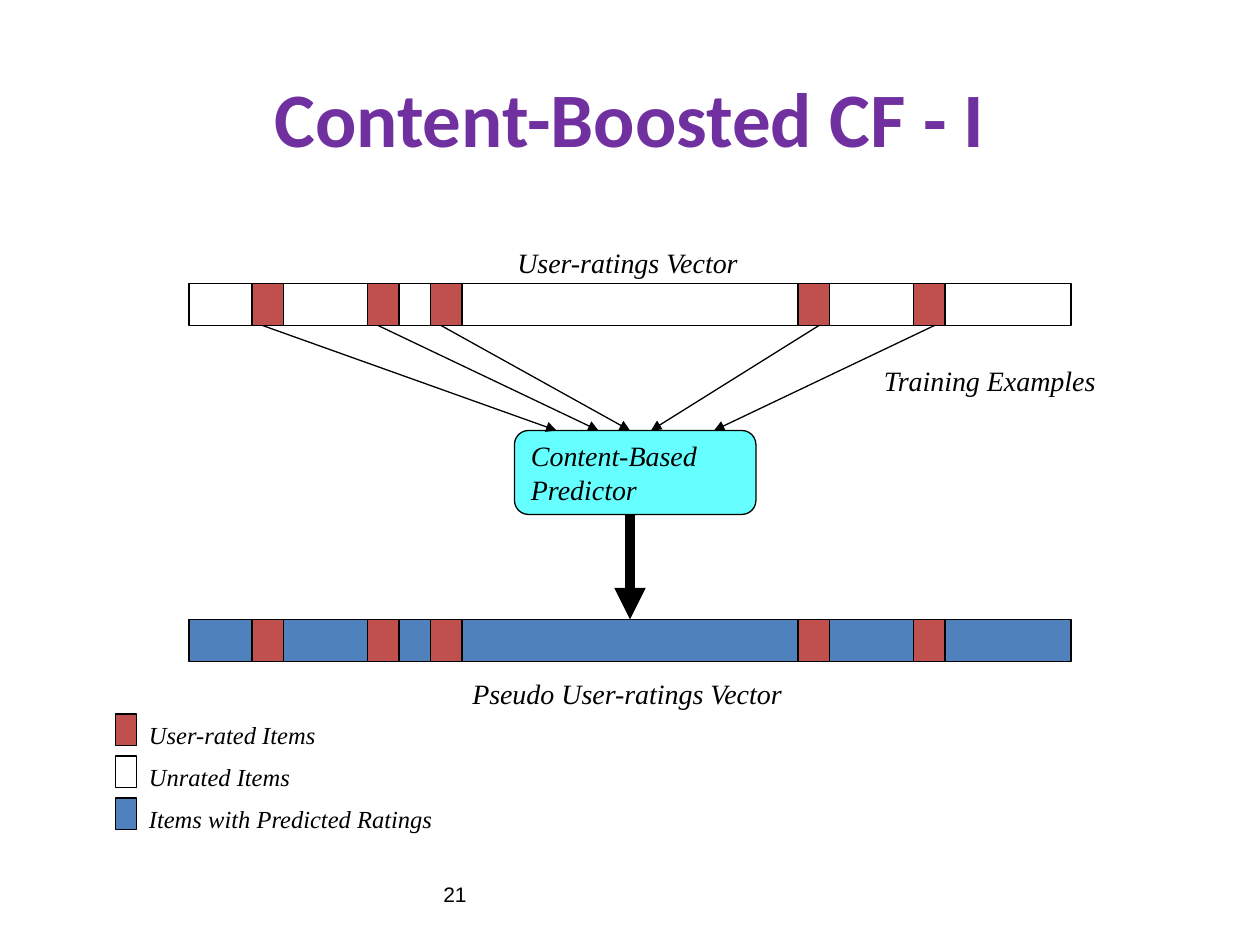
from pptx import Presentation
from pptx.dml.color import RGBColor
from pptx.enum.shapes import MSO_CONNECTOR as Connector, MSO_SHAPE as Shape
from pptx.enum.text import MSO_ANCHOR as Anchor, PP_ALIGN as Align
from pptx.oxml.ns import qn
from pptx.util import Pt
from lxml.etree import SubElement

BLACK, WHITE, PURPLE = "000000", "FFFFFF", "7030A0"
RATED, PREDICTED, CYAN = "C0504D", "4F81BD", "66FFFF"


def color(value):
    return RGBColor.from_string(value)


class Diagram:
    font = "Times New Roman"
    line_width = 0.75
    vector_left, vector_width, vector_height = 108, 504, 24
    rated_lefts = (144, 210, 246, 456, 522)
    rated_width = 18

    def __init__(self, slide):
        self.slide = slide

    def label(self, shape, text, size, font=None, fill=BLACK, bold=False,
              italic=True, align=Align.LEFT, anchor=Anchor.TOP, wrap=True):
        frame = shape.text_frame
        frame.text = text
        frame.word_wrap = wrap
        frame.vertical_anchor = anchor
        for paragraph in frame.paragraphs:
            paragraph.alignment = align
            for run in paragraph.runs:
                run.font.name = font or self.font
                run.font.size = Pt(size)
                run.font.bold = bold
                run.font.italic = italic
                run.font.color.rgb = color(fill)

    def text(self, left, top, width, height, text, size, **style):
        shape = self.slide.shapes.add_textbox(
            Pt(left), Pt(top), Pt(width), Pt(height))
        self.label(shape, text, size, **style)

    def box(self, left, top, width, height, fill, kind=Shape.RECTANGLE):
        shape = self.slide.shapes.add_shape(
            kind, Pt(left), Pt(top), Pt(width), Pt(height))
        shape.shadow.inherit = False
        shape.fill.solid()
        shape.fill.fore_color.rgb = color(fill)
        shape.line.color.rgb = color(BLACK)
        shape.line.width = Pt(self.line_width)
        return shape

    def vector(self, top, fill):
        bar = self.box(self.vector_left, top, self.vector_width,
                       self.vector_height, fill)
        for left in self.rated_lefts:
            self.box(left, top, self.rated_width, self.vector_height, RATED)
        return bar

    def arrow(self, x1, y1, x2, y2, width=line_width):
        connector = self.slide.shapes.add_connector(
            Connector.STRAIGHT, Pt(x1), Pt(y1), Pt(x2), Pt(y2))
        connector.line.color.rgb = color(BLACK)
        connector.line.width = Pt(width)
        properties = connector._element.spPr
        SubElement(properties.find(qn("a:ln")), qn("a:tailEnd"),
                   type="triangle")
        SubElement(properties, qn("a:effectLst"))
        return connector

    def legend(self, top, fill, text, width):
        self.box(66, top, 12, 18, fill)
        self.text(78, top, width, 24, text, 14, wrap=False)


def main():
    presentation = Presentation()
    presentation.slide_width, presentation.slide_height = Pt(720), Pt(540)
    slide = presentation.slides.add_slide(presentation.slide_layouts[6])
    diagram = Diagram(slide)

    diagram.text(36, 21.6, 648, 90, "Content-Boosted CF - I", 44,
                 font="Calibri", fill=PURPLE, bold=True, italic=False,
                 align=Align.CENTER, anchor=Anchor.MIDDLE)
    diagram.text(246.25, 500.4, 228, 28.8, "21", 12, font="Arial",
                 italic=False)

    diagram.vector(162, WHITE)
    predictor = diagram.box(294, 246, 138, 48, CYAN, Shape.ROUNDED_RECTANGLE)
    diagram.label(predictor, "Content-Based\nPredictor", 16,
                  anchor=Anchor.MIDDLE)
    pseudo_vector = diagram.vector(354, PREDICTED)

    for start, end in ((150, 318), (216, 342), (252, 360),
                       (468, 372), (534, 408)):
        diagram.arrow(start, 186, end, 246)
    prediction = diagram.arrow(360, 294, 360, 354, width=6)
    prediction.end_connect(pseudo_vector, 0)

    for left, top, width, caption in (
            (288.5, 136.8, 143.3, "User-ratings Vector"),
            (498, 204, 136.8, "Training Examples"),
            (262.8, 383, 194.4, "Pseudo User-ratings Vector")):
        diagram.text(left, top, width, 26.6, caption, 16, wrap=False)

    for row, (fill, meaning, width) in enumerate((
            (RATED, "User-rated Items", 110),
            (WHITE, "Unrated Items", 95),
            (PREDICTED, "Items with Predicted Ratings", 176.4))):
        diagram.legend(408 + 24 * row, fill, meaning, width)

    presentation.save("out.pptx")


if __name__ == "__main__":
    main()
